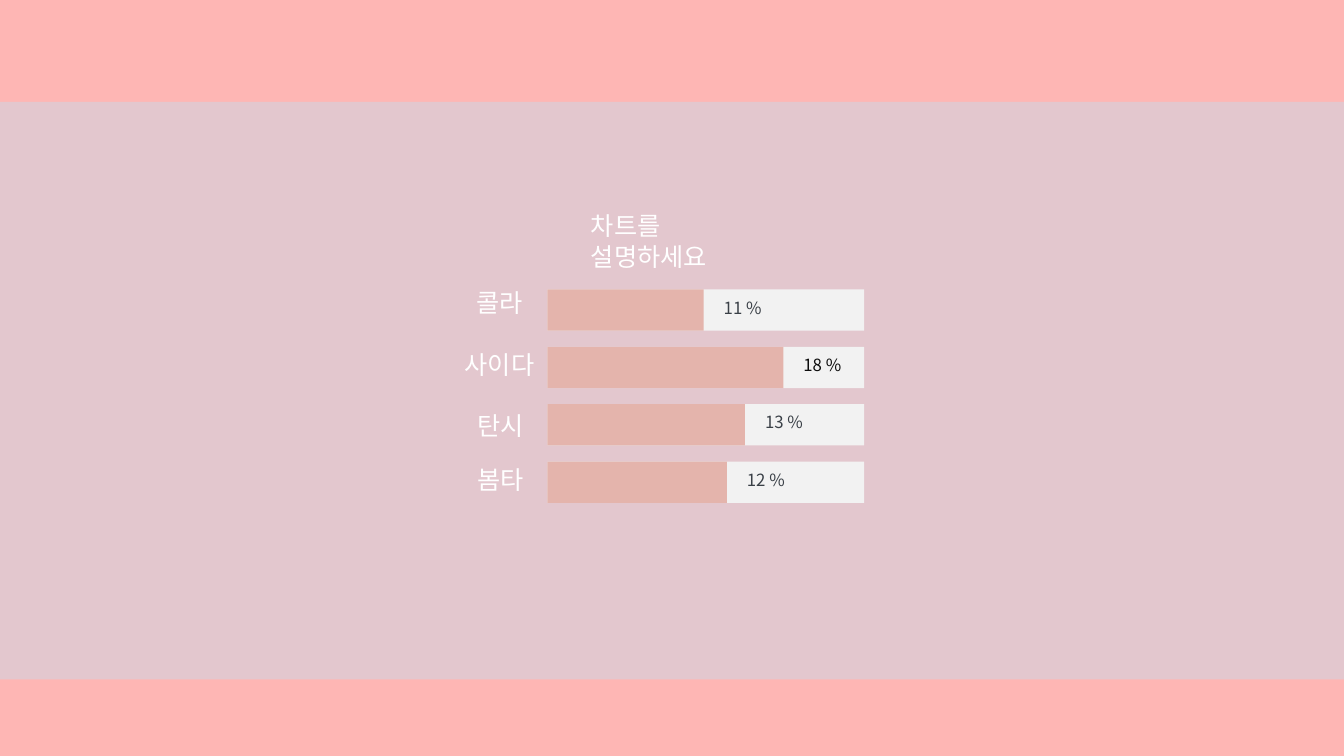
from lxml import etree
from pptx import Presentation
from pptx.dml.color import RGBColor
from pptx.enum.shapes import MSO_SHAPE
from pptx.enum.text import MSO_ANCHOR, MSO_AUTO_SIZE, PP_ALIGN
from pptx.oxml.ns import qn
from pptx.util import Inches, Pt

RECTANGLE = MSO_SHAPE.RECTANGLE
TOP = MSO_ANCHOR.TOP
LEFT = PP_ALIGN.LEFT
NO_AUTOSIZE = MSO_AUTO_SIZE.NONE
TITLE_ONLY = 5

FONT = "Noto Sans CJK KR"
COLORS = {
    "frame": "FEB6B4",
    "panel": "E3C7CE",
    "track": "F2F2F2",
    "bar": "E4B4AC",
    "value": "3A4047",
    "highlight": "0D0D0D",
    "white": "FFFFFF",
}

SLIDE_WIDTH, SLIDE_HEIGHT = 13.33, 7.5
BAR_LEFT, BAR_TOP, BAR_HEIGHT, BAR_STEP = 5.43, 2.87, 0.41, 0.57
TRACK_WIDTH = 3.14

# label, label left, label top, label width, bar width, value, value color
DRINKS = [
    ("콜라", 4.63, 2.8, 0.66, 1.55, "11 %", "value"),
    ("사이다", 4.51, 3.42, 0.89, 2.34, "18 %", "highlight"),
    ("탄시", 4.64, 4.02, 0.66, 1.96, "13 %", "value"),
    ("봄타", 4.64, 4.56, 0.66, 1.78, "12 %", "value"),
]


def add_rectangle(slide, left, top, width, height, color):
    """Add a borderless filled rectangle."""
    shape = slide.shapes.add_shape(
        RECTANGLE, Inches(left), Inches(top), Inches(width), Inches(height)
    )
    shape.shadow.inherit = False
    shape.fill.solid()
    shape.fill.fore_color.rgb = RGBColor.from_string(COLORS[color])
    shape.line.fill.background()


def write_text(shape, text, size, color, wrap):
    """Fill a shape with left-aligned text in the slide's font."""
    frame = shape.text_frame
    frame.text = text
    frame.word_wrap = wrap
    frame.auto_size = NO_AUTOSIZE
    frame.vertical_anchor = TOP
    paragraph = frame.paragraphs[0]
    paragraph.alignment = LEFT
    paragraph.line_spacing = 1.0
    font = paragraph.runs[0].font
    font.size = Pt(size)
    font.name = FONT
    font.color.rgb = RGBColor.from_string(COLORS[color])
    properties = paragraph.runs[0].font._element
    etree.SubElement(properties, qn("a:ea")).set("typeface", FONT)


def add_label(slide, left, top, width, height, text, size, color, wrap=False):
    """Add a text box with one line of text."""
    box = slide.shapes.add_textbox(
        Inches(left), Inches(top), Inches(width), Inches(height)
    )
    write_text(box, text, size, color, wrap)


def place_title(slide, text):
    """Move the title placeholder above the bars and in front of the panel."""
    title = slide.shapes.title
    title.left, title.top = Inches(5.76), Inches(2.04)
    title.width, title.height = Inches(1.8), Inches(0.7)
    write_text(title, text, 18, "white", True)
    title.element.getparent().append(title.element)


def add_bars(slide):
    """Add the tracks, bars, values and drink names."""
    for index, drink in enumerate(DRINKS):
        label, label_left, label_top, label_width, width, value, color = drink
        top = BAR_TOP + index * BAR_STEP
        add_rectangle(slide, BAR_LEFT, top, TRACK_WIDTH, BAR_HEIGHT, "track")
        add_rectangle(slide, BAR_LEFT, top, width, BAR_HEIGHT, "bar")
        value_left = BAR_LEFT + width + 0.1
        add_label(slide, value_left, top + 0.03, 0.86, 0.3, value, 12, color, True)
        add_label(slide, label_left, label_top, label_width, 0.4, label, 18, "white")


def main():
    """Build the slide and save it."""
    presentation = Presentation()
    presentation.slide_width = Inches(SLIDE_WIDTH)
    presentation.slide_height = Inches(SLIDE_HEIGHT)
    slide = presentation.slides.add_slide(presentation.slide_layouts[TITLE_ONLY])
    add_rectangle(slide, 0, 0, SLIDE_WIDTH, SLIDE_HEIGHT, "frame")
    add_rectangle(slide, 0, 1.01, SLIDE_WIDTH, 5.73, "panel")
    add_bars(slide)
    place_title(slide, "차트를 설명하세요")
    presentation.save("out.pptx")


if __name__ == "__main__":
    main()
